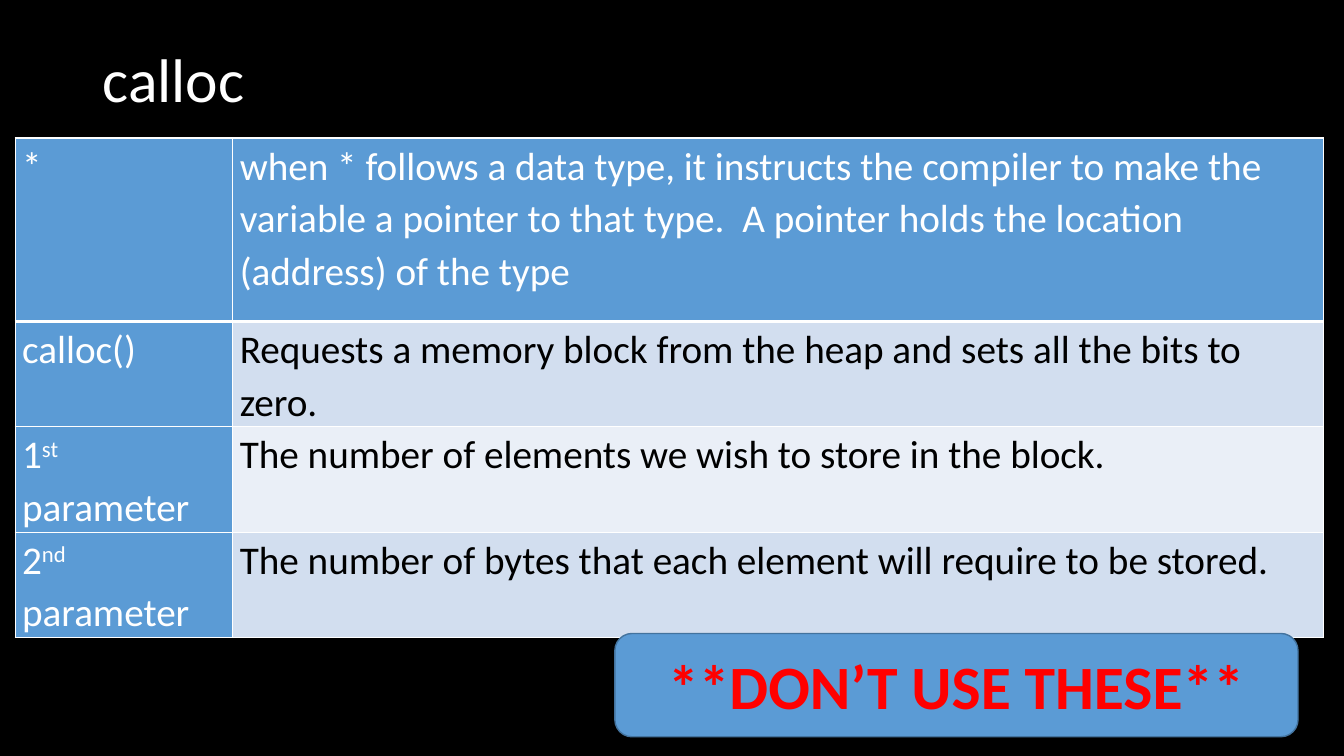
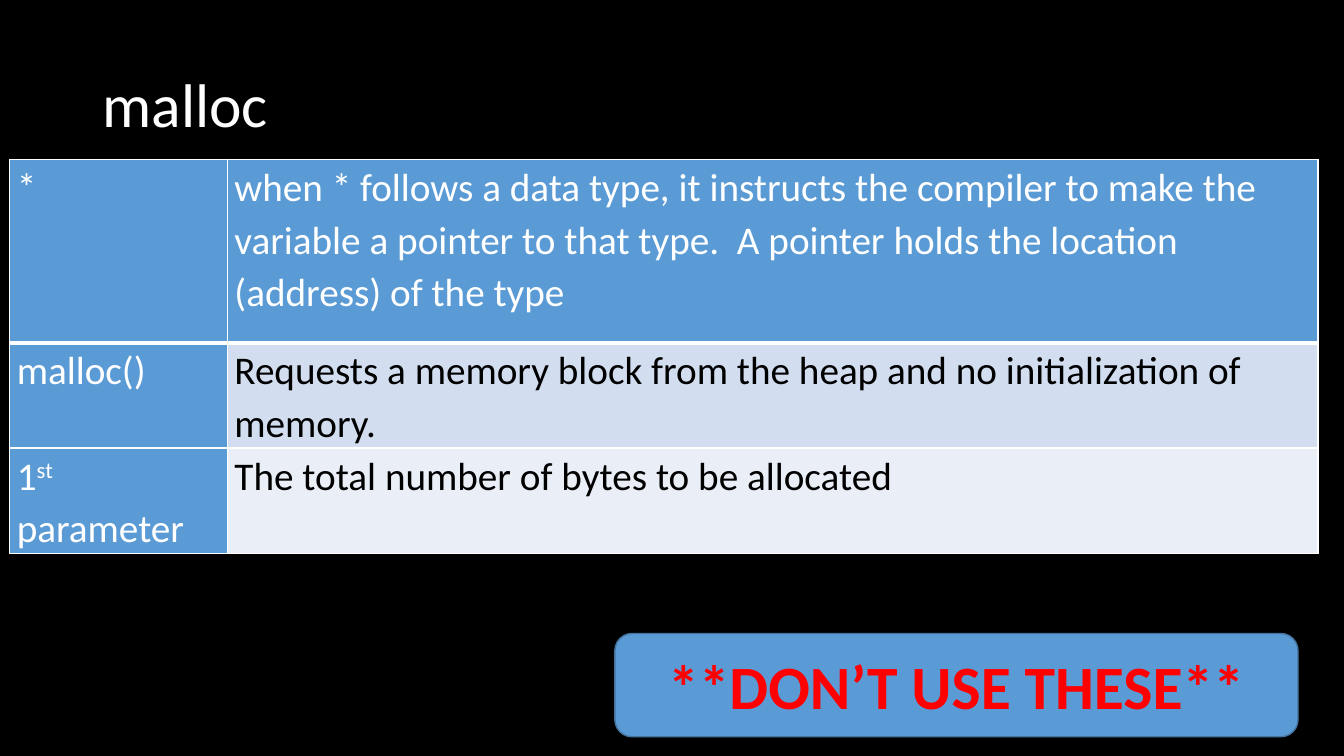
from dataclasses import dataclass

from lxml.etree import SubElement
from pptx import Presentation
from pptx.dml.color import RGBColor as Color
from pptx.enum.shapes import MSO_SHAPE as Shape
from pptx.enum.text import MSO_ANCHOR as Anchor, PP_ALIGN as Align
from pptx.oxml.ns import qn
from pptx.util import Pt

POINTER_ROW = (
    ["*"],
    "when * follows a data type, it instructs the compiler to make the variable "
    "a pointer to that type.  A pointer holds the location (address) of the type",
)
WARNING = "**DON’T USE THESE**"
SLIDES = [
    {
        "title": "calloc",
        "title_box": (66, 29, 828, 60.5),
        "table_at": (10.8, 98.6),
        "rows": [
            POINTER_ROW,
            (["calloc()"], "Requests a memory block from the heap and sets all the bits to zero."),
            (["1", "st", " parameter"], "The number of elements we wish to store in the block."),
            (["2", "nd", " parameter"], "The number of bytes that each element will require to be stored."),
        ],
    },
    {
        "title": "malloc",
        "title_box": (66, 31.5, 828, 91),
        "table_at": (7, 113.8),
        "rows": [
            POINTER_ROW,
            (["malloc()"], "Requests a memory block from the heap and no initialization of memory."),
            (["1", "st", " parameter"], "The total number of bytes to be allocated"),
        ],
    },
]

WARNING_BOX = (439.2, 452.5, 488, 73.8)
COLUMN_WIDTHS = (155.5, 779)
HEADER_HEIGHT, ROW_HEIGHT = 131, 64
CELL_INSET = 5


@dataclass(frozen=True)
class Theme:
    """Colours, font and type sizes shared by the slides."""
    background: Color = Color.from_string("000000")
    light: Color = Color.from_string("FFFFFF")
    dark: Color = Color.from_string("000000")
    accent: Color = Color.from_string("5B9BD5")
    outline: Color = Color.from_string("43739E")
    warning: Color = Color.from_string("FF0000")
    bands: tuple = (Color.from_string("EAEFF7"), Color.from_string("D2DEEF"))
    font: str = "Calibri"
    large: int = 44
    body: int = 28


THEME = Theme()


def points(values):
    """Convert numbers to point lengths."""
    return [Pt(value) for value in values]


def format_paragraph(paragraph, size, color, align=Align.LEFT, bold=False):
    """Set alignment and font of a whole paragraph."""
    paragraph.alignment = align
    font = paragraph.font
    font.name, font.size, font.bold = THEME.font, Pt(size), bold
    font.color.rgb = color


def add_borders(cell, bottom_width):
    """Draw light lines on the four sides of a cell."""
    properties = cell._tc.get_or_add_tcPr()
    widths = {"a:lnL": 1, "a:lnR": 1, "a:lnT": 1, "a:lnB": bottom_width}
    for index, (side, width) in enumerate(widths.items()):
        line = SubElement(properties, qn(side), w=str(Pt(width)))
        fill = SubElement(line, qn("a:solidFill"))
        SubElement(fill, qn("a:srgbClr"), val=str(THEME.light))
        properties.insert(index, line)


def fill_cell(cell, parts, fill, color, bottom_width):
    """Write a cell, raising the second part as an ordinal suffix."""
    cell.margin_left = cell.margin_right = Pt(CELL_INSET)
    cell.margin_top = cell.margin_bottom = 0
    cell.fill.solid()
    cell.fill.fore_color.rgb = fill
    add_borders(cell, bottom_width)
    paragraph = cell.text_frame.paragraphs[0]
    paragraph.line_spacing, paragraph.space_before = 1.1, Pt(6)
    format_paragraph(paragraph, THEME.body, color)
    for index, part in enumerate(parts):
        run = paragraph.add_run()
        run.text = part
        if index == 1:
            run._r.get_or_add_rPr().set("baseline", "30000")


def add_title(slide, text, box):
    """Place and format the title placeholder."""
    title = slide.shapes.title
    title.left, title.top, title.width, title.height = points(box)
    frame = title.text_frame
    frame.text, frame.vertical_anchor = text, Anchor.MIDDLE
    paragraph = frame.paragraphs[0]
    paragraph.line_spacing = 0.9
    format_paragraph(paragraph, THEME.large, THEME.light)


def add_definitions(slide, rows, position):
    """Add the table of terms and their meanings."""
    heights = [HEADER_HEIGHT] + [ROW_HEIGHT] * (len(rows) - 1)
    size = (sum(COLUMN_WIDTHS), sum(heights))
    table = slide.shapes.add_table(len(rows), 2, *points(position + size)).table
    table.first_row = table.horz_banding = False
    for column, width in zip(table.columns, COLUMN_WIDTHS):
        column.width = Pt(width)
    for index, (term, meaning) in enumerate(rows):
        table.rows[index].height = Pt(heights[index])
        header = index == 0
        bottom_width = 3 if header else 1
        fill = THEME.accent if header else THEME.bands[index % 2]
        color = THEME.light if header else THEME.dark
        fill_cell(table.cell(index, 0), term, THEME.accent, THEME.light, bottom_width)
        fill_cell(table.cell(index, 1), [meaning], fill, color, bottom_width)


def add_warning(slide):
    """Add the rounded warning box."""
    shape = slide.shapes.add_shape(Shape.ROUNDED_RECTANGLE, *points(WARNING_BOX))
    shape.shadow.inherit = False
    shape.fill.solid()
    shape.fill.fore_color.rgb = THEME.accent
    shape.line.color.rgb, shape.line.width = THEME.outline, Pt(1)
    frame = shape.text_frame
    frame.text, frame.vertical_anchor = WARNING, Anchor.MIDDLE
    format_paragraph(frame.paragraphs[0], THEME.large, THEME.warning, Align.CENTER, True)


def main():
    """Build the presentation and save it."""
    presentation = Presentation()
    presentation.slide_width, presentation.slide_height = points((960, 540))
    background = presentation.slide_master.background.fill
    background.solid()
    background.fore_color.rgb = THEME.background
    layout = presentation.slide_layouts.get_by_name("Title Only")
    for content in SLIDES:
        slide = presentation.slides.add_slide(layout)
        add_title(slide, content["title"], content["title_box"])
        add_definitions(slide, content["rows"], content["table_at"])
        add_warning(slide)
    presentation.save("out.pptx")


if __name__ == "__main__":
    main()
